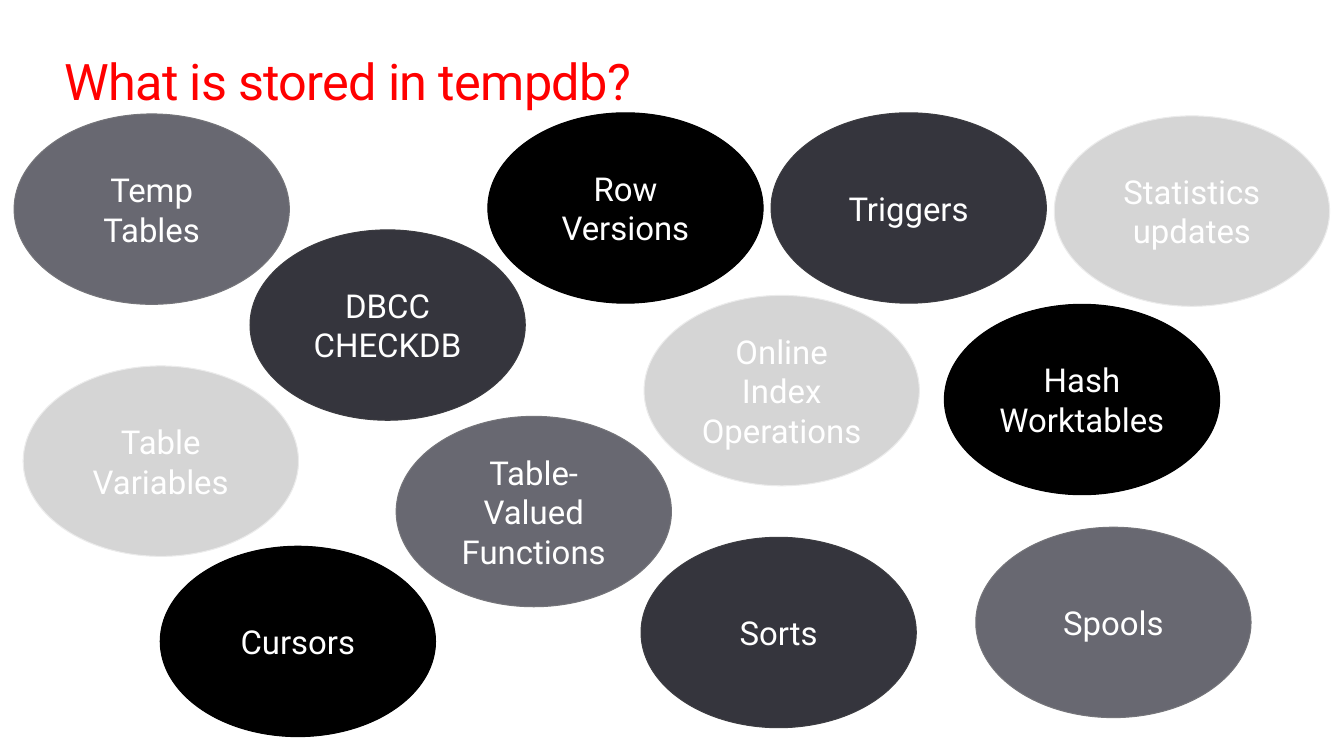
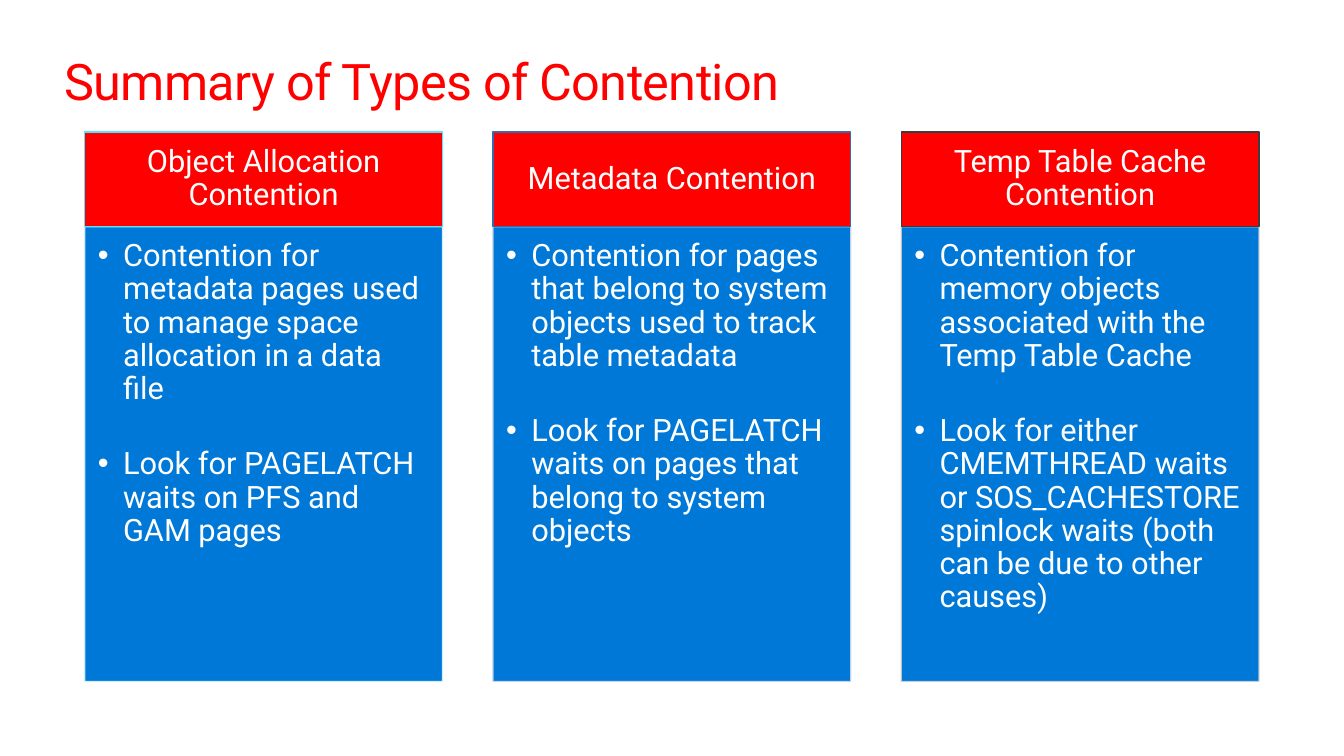
from copy import deepcopy
from dataclasses import dataclass

from lxml.etree import SubElement
from pptx import Presentation
from pptx.dml.color import RGBColor
from pptx.enum.shapes import MSO_SHAPE
from pptx.enum.text import MSO_ANCHOR as Anchor, MSO_AUTO_SIZE as AutoSize, PP_ALIGN as Align
from pptx.oxml.ns import qn
from pptx.presentation import Presentation as Deck
from pptx.shapes.autoshape import Shape
from pptx.slide import Slide, SlideLayout
from pptx.text.text import TextFrame
from pptx.util import Pt

COLORS = {
    "accent": "FF0000",
    "panel": "0078D7",
    "text": "FFFFFF",
    "slate": "686871",
    "slate edge": "75757A",
    "silver": "D5D5D5",
    "silver edge": "EBEBEB",
    "charcoal": "35353D",
    "charcoal edge": "3C3C41",
    "black": "000000",
    "black edge": "000000",
    "cyan": "50E6FF",
    "pale cyan": "D0F5FF",
    "blue": "376AAF",
    "pale blue": "C9D7ED",
    "pale gray": "CECECF",
}
FONT = "Roboto"
THIRD_LIST_IDX = 13
BUBBLE_SIZE = (196.6, 136)
COLUMN_LEFT, COLUMN_PITCH, COLUMN_WIDTH = 60.5, 291.6, 255.6
HEADING_TOP, HEADING_HEIGHT = 94.3, 67.7
LIST_TOP, LIST_HEIGHT = HEADING_TOP + HEADING_HEIGHT, 324.7


@dataclass(frozen=True)
class Bubble:
    label: str
    left: float
    top: float
    tone: str


@dataclass(frozen=True)
class Contention:
    heading: str
    points: tuple[str, ...]
    heading_edge: str
    list_edge: str


BUBBLES = (
    Bubble("Temp Tables", 10.1, 81.4, "slate"),
    Bubble("Table Variables", 16.6, 261.4, "silver"),
    Bubble("Table-Valued Functions", 283, 297.4, "slate"),
    Bubble("Sorts", 457.9, 383.8, "charcoal"),
    Bubble("Cursors", 114.5, 390.2, "black"),
    Bubble("Spools", 697, 376.6, "slate"),
    Bubble("Triggers", 550.8, 80.6, "charcoal"),
    Bubble("Hash Worktables", 674.6, 217.4, "black"),
    Bubble("Row Versions", 348.5, 80.6, "black"),
    Bubble("Online Index Operations", 460.1, 211, "silver"),
    Bubble("DBCC CHECKDB", 178.6, 164.2, "charcoal"),
    Bubble("Statistics updates", 753.1, 82.8, "silver"),
)

CONTENTIONS = (
    Contention(
        "Object Allocation Contention",
        ("Contention for metadata pages used to manage space allocation in a data file",
         "Look for PAGELATCH waits on PFS and GAM pages"),
        "cyan", "pale cyan",
    ),
    Contention(
        "Metadata Contention",
        ("Contention for pages that belong to system objects used to track table metadata",
         "Look for PAGELATCH waits on pages that belong to system objects"),
        "blue", "pale blue",
    ),
    Contention(
        "Temp Table Cache Contention",
        ("Contention for memory objects associated with the Temp Table Cache",
         "Look for either CMEMTHREAD waits or SOS_CACHESTORE spinlock waits "
         "(both can be due to other causes)"),
        "charcoal edge", "pale gray",
    ),
)


def rgb(name: str) -> RGBColor:
    return RGBColor.from_string(COLORS[name])


def place(shape: Shape, left: float, top: float, width: float, height: float) -> None:
    shape.left, shape.top, shape.width, shape.height = map(Pt, (left, top, width, height))


def paint(shape: Shape, fill: str, edge: str, weight: float) -> None:
    shape.shadow.inherit = False
    shape.fill.solid()
    shape.fill.fore_color.rgb = rgb(fill)
    shape.line.color.rgb = rgb(edge)
    shape.line.width = Pt(weight)


def set_insets(frame: TextFrame, left: float, top: float, right: float, bottom: float) -> None:
    frame.margin_left, frame.margin_top = Pt(left), Pt(top)
    frame.margin_right, frame.margin_bottom = Pt(right), Pt(bottom)


def write(frame: TextFrame, lines: tuple[str, ...], size: float, color: str,
          align: Align, spacing: float = 1) -> None:
    frame.text = "\n".join(lines)
    frame.word_wrap = True
    for paragraph in frame.paragraphs:
        paragraph.alignment = align
        paragraph.line_spacing = spacing
        paragraph.space_before = Pt(0)
        paragraph.font.name = FONT
        paragraph.font.size = Pt(size)
        paragraph.font.color.rgb = rgb(color)


def add_titled_slide(deck: Deck, layout: SlideLayout, heading: str) -> Slide:
    slide = deck.slides.add_slide(layout)
    title = slide.shapes.title
    place(title, 46, 36, 868, 44)
    frame = title.text_frame
    set_insets(frame, 0, 0, 0, 0)
    frame.vertical_anchor = Anchor.TOP
    write(frame, (heading,), 36, "accent", Align.LEFT)
    frame.auto_size = AutoSize.SHAPE_TO_FIT_TEXT
    for character_style in title.element.iter(qn("a:defRPr")):
        character_style.set("spc", "-50")
    return slide


def add_block(slide: Slide, preset: MSO_SHAPE, box: tuple[float, float, float, float],
              label: str, size: float, spacing: float = 1) -> Shape:
    block = slide.shapes.add_shape(preset, *map(Pt, box))
    block.text_frame.vertical_anchor = Anchor.MIDDLE
    write(block.text_frame, (label,), size, "text", Align.CENTER, spacing)
    return block


def add_bubble(slide: Slide, bubble: Bubble) -> None:
    box = (bubble.left, bubble.top, *BUBBLE_SIZE)
    oval = add_block(slide, MSO_SHAPE.OVAL, box, bubble.label, 23.5)
    paint(oval, bubble.tone, f"{bubble.tone} edge", 0.75)


def add_third_list(layout: SlideLayout) -> None:
    third_list = deepcopy(layout.placeholders.get(idx=2).element)
    next(third_list.iter(qn("p:cNvPr"))).set("id", "20")
    next(third_list.iter(qn("p:ph"))).set("idx", str(THIRD_LIST_IDX))
    layout.shapes.element.append(third_list)


def fill_list(panel: Shape, left: float, contention: Contention) -> None:
    place(panel, left, LIST_TOP, COLUMN_WIDTH, LIST_HEIGHT)
    paint(panel, "panel", contention.list_edge, 0.85)
    edge = next(panel.element.iter(qn("a:ln")))
    SubElement(next(edge.iter(qn("a:srgbClr"))), qn("a:alpha"), val="90000")
    frame = panel.text_frame
    set_insets(frame, 9.4, 9.4, 12.2, 13.7)
    frame.vertical_anchor = Anchor.TOP
    frame.auto_size = AutoSize.NONE
    write(frame, contention.points, 22, "text", Align.LEFT, 0.9)
    frame.paragraphs[0].space_after = Pt(30)
    for properties in panel.element.iter(qn("a:pPr")):
        properties.set("marL", str(Pt(18)))
        properties.set("indent", str(Pt(-18)))


def add_heading(slide: Slide, left: float, contention: Contention) -> None:
    box = (left, HEADING_TOP, COLUMN_WIDTH, HEADING_HEIGHT)
    heading = add_block(slide, MSO_SHAPE.RECTANGLE, box, contention.heading, 22, 0.9)
    set_insets(heading.text_frame, 12.2, 7, 12.2, 7)
    paint(heading, "accent", contention.heading_edge, 0.85)


def main() -> None:
    deck = Presentation()
    deck.slide_width, deck.slide_height = Pt(960), Pt(540)
    title_only, columns = deck.slide_layouts[5], deck.slide_layouts[3]

    storage = add_titled_slide(deck, title_only, "What is stored in tempdb?")
    for bubble in BUBBLES:
        add_bubble(storage, bubble)

    add_third_list(columns)
    summary = add_titled_slide(deck, columns, "Summary of Types of Contention")
    for column, (idx, contention) in enumerate(zip((1, 2, THIRD_LIST_IDX), CONTENTIONS)):
        left = COLUMN_LEFT + column * COLUMN_PITCH
        add_heading(summary, left, contention)
        fill_list(summary.placeholders[idx], left, contention)

    deck.save("out.pptx")


if __name__ == "__main__":
    main()
